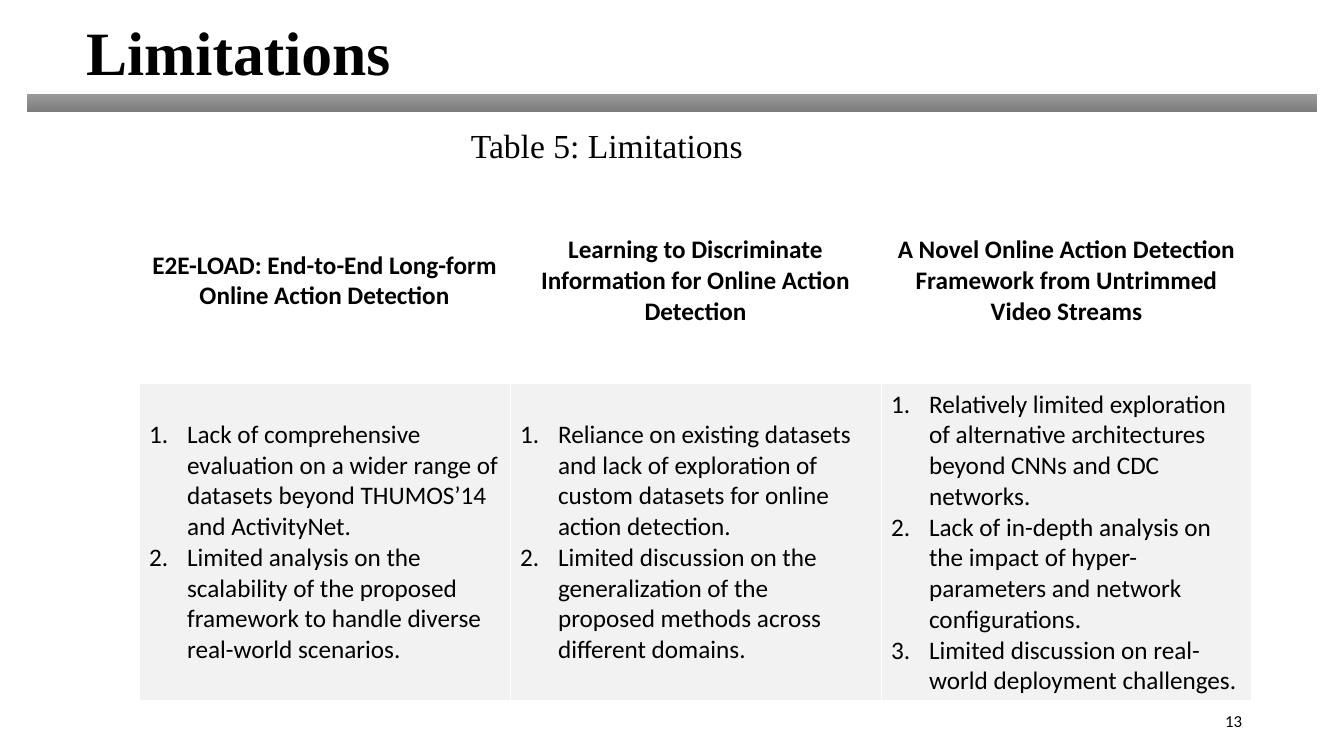
"""Build the Limitations slide with its three-column comparison table."""
from lxml.etree import SubElement
from pptx import Presentation
from pptx.dml.color import RGBColor
from pptx.enum.shapes import MSO_SHAPE
from pptx.enum.text import MSO_ANCHOR as ANCHOR, MSO_AUTO_SIZE as AUTO, PP_ALIGN as ALIGN
from pptx.oxml.ns import qn
from pptx.util import Emu, Pt

TITLE = "Limitations"
CAPTION = "Table 5: Limitations"
PAGE = "13"
PAPERS = [
    ("E2E-LOAD: End-to-End Long-form Online Action Detection", [
        "Lack of comprehensive evaluation on a wider range of datasets beyond THUMOS’14 and ActivityNet.",
        "Limited analysis on the scalability of the proposed framework to handle diverse real-world scenarios.",
    ]),
    ("Learning to Discriminate Information for Online Action Detection", [
        "Reliance on existing datasets and lack of exploration of custom datasets for online action detection.",
        "Limited discussion on the generalization of the proposed methods across different domains.",
    ]),
    ("A Novel Online Action Detection Framework from Untrimmed Video Streams", [
        "Relatively limited exploration of alternative architectures beyond CNNs and CDC networks.",
        "Lack of in-depth analysis on the impact of hyper-parameters and network configurations.",
        "Limited discussion on real-world deployment challenges.",
    ]),
]
COLORS = {"text": "000000", "line": "FFFFFF", "body": "F2F2F2",
          "bar_top": "9D9D9D", "bar_bottom": "7C7C7C"}
SERIF, SANS = "Times New Roman", "Calibri"
COL_W, ROW_H, INDENT = 371, (206, 317), 38


def px(n):
    return Emu(round(n * 914400 / 100.8))


def box(*lengths):
    return [px(n) for n in lengths]


def color(name):
    return RGBColor.from_string(COLORS[name])


def write(tf, *lines, font=SANS, size=18, bold=False, align=ALIGN.LEFT,
          anchor=ANCHOR.MIDDLE, spacing=None, numbered=False):
    tf.word_wrap = True
    tf.vertical_anchor = anchor
    for i, line in enumerate(lines):
        p = tf.add_paragraph() if i else tf.paragraphs[0]
        p.alignment = align
        if spacing:
            p.line_spacing = spacing
        if numbered:
            pPr = p._p.get_or_add_pPr()
            pPr.set("marL", str(px(INDENT)))
            pPr.set("indent", str(-px(INDENT)))
            SubElement(pPr, qn("a:buFont"), typeface="+mj-lt")
            SubElement(pPr, qn("a:buAutoNum"), type="arabicPeriod")
        r = p.add_run()
        r.text = line
        r.font.name, r.font.size, r.font.bold = font, Pt(size), bold
        r.font.color.rgb = color("text")


def add_borders(cell, sides):
    tcPr = cell._tc.get_or_add_tcPr()
    for side in sides:
        ln = SubElement(tcPr, qn(f"a:ln{side}"), w=str(Pt(0.75)))
        fill = SubElement(ln, qn("a:solidFill"))
        SubElement(fill, qn("a:srgbClr"), val=COLORS["line"])


def add_bar(s):
    bar = s.shapes.add_shape(MSO_SHAPE.RECTANGLE, *box(26, 93, 1291, 19))
    bar.shadow.inherit = False
    bar.fill.gradient()
    bar.fill.gradient_angle = 270
    for stop, name in zip(bar.fill.gradient_stops, ("bar_top", "bar_bottom")):
        stop.color.rgb = color(name)
    bar.fill.gradient_stops[0].position = 0
    bar.fill.gradient_stops[1].position = 1
    bar.line.color.rgb = color("line")
    bar.line.width = Pt(0.5)


def add_table(s):
    table = s.shapes.add_table(2, len(PAPERS), *box(
        139, 178, COL_W * len(PAPERS), sum(ROW_H))).table
    for row, height in zip(table.rows, ROW_H):
        row.height = px(height)
    for c, (paper, limits) in enumerate(PAPERS):
        table.columns[c].width = px(COL_W)
        head, body = table.cell(0, c), table.cell(1, c)
        for cell in (head, body):
            add_borders(cell, "LRTB")
            cell.vertical_anchor = ANCHOR.MIDDLE
        head.fill.background()
        body.fill.solid()
        body.fill.fore_color.rgb = color("body")
        write(head.text_frame, paper, bold=True, align=ALIGN.CENTER)
        write(body.text_frame, *limits, numbered=True)


def main():
    prs = Presentation()
    prs.slide_width, prs.slide_height = box(1344, 756)
    s = prs.slides.add_slide(prs.slide_layouts[5])
    title = s.shapes.title
    title.left, title.top, title.width, title.height = box(76, 13, 705, 85)
    title.text_frame.auto_size = AUTO.NONE
    write(title.text_frame, TITLE, font=SERIF, size=44, bold=True, spacing=0.9)
    add_bar(s)
    caption = s.shapes.add_textbox(*box(461, 120, 489, 50))
    write(caption.text_frame, CAPTION, font=SERIF, size=24, anchor=ANCHOR.TOP)
    add_table(s)
    page = s.shapes.add_textbox(*box(950, 701, 302, 40))
    write(page.text_frame, PAGE, size=12, align=ALIGN.RIGHT)
    prs.save("out.pptx")


if __name__ == "__main__":
    main()
